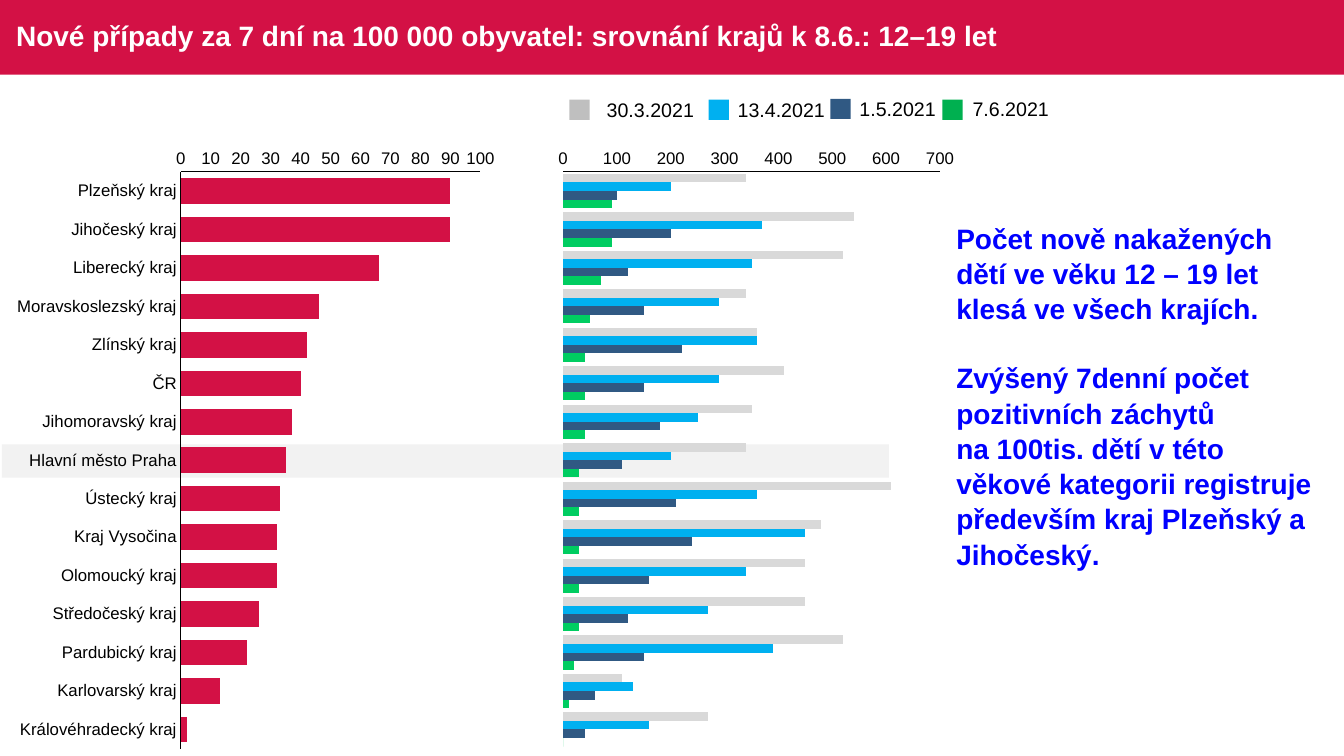
from pptx import Presentation
from pptx.chart.data import CategoryChartData
from pptx.dml.color import RGBColor
from pptx.enum.chart import XL_CHART_TYPE, XL_TICK_MARK
from pptx.enum.shapes import MSO_SHAPE
from pptx.enum.text import MSO_ANCHOR, MSO_AUTO_SIZE, PP_ALIGN
from pptx.oxml import parse_xml
from pptx.oxml.ns import nsdecls, qn
from pptx.util import Cm, Pt

BAR = XL_CHART_TYPE.BAR_CLUSTERED
NO_TICK = XL_TICK_MARK.NONE
RECT = MSO_SHAPE.RECTANGLE
MIDDLE = MSO_ANCHOR.MIDDLE
FIT_SHAPE, NO_FIT = MSO_AUTO_SIZE.SHAPE_TO_FIT_TEXT, MSO_AUTO_SIZE.NONE
LEFT = PP_ALIGN.LEFT

FONT = "Arial"
COLORS = {
    "red": "D31145", "band": "F2F2F2", "white": "FFFFFF", "black": "000000",
    "note": "0000FF", "gray": "D9D9D9", "key_gray": "BFBFBF", "sky": "00B0F0",
    "navy": "305983", "green": "00CD61", "key_green": "00B050",
}

TITLE = "Nové případy za 7 dní na 100 000 obyvatel: srovnání krajů k 8.6.: 12–19 let"
NOTES = [
    "Počet nově nakažených dětí ve věku 12 – 19 let klesá ve všech krajích.",
    "Zvýšený 7denní počet pozitivních záchytů\nna 100tis. dětí v této věkové "
    "kategorii registruje především kraj Plzeňský a Jihočeský.",
]
REGIONS = [
    "Plzeňský kraj", "Jihočeský kraj", "Liberecký kraj", "Moravskoslezský kraj",
    "Zlínský kraj", "ČR", "Jihomoravský kraj", "Hlavní město Praha",
    "Ústecký kraj", "Kraj Vysočina", "Olomoucký kraj", "Středočeský kraj",
    "Pardubický kraj", "Karlovarský kraj", "Královéhradecký kraj",
]
CURRENT = [
    ("8.6.2021", "red", [90, 90, 66, 46, 42, 40, 37, 35, 33, 32, 32, 26, 22, 13, 2]),
]
HISTORY = [
    ("30.3.2021", "gray",
     [340, 540, 520, 340, 360, 410, 350, 340, 610, 480, 450, 450, 520, 110, 270]),
    ("13.4.2021", "sky",
     [200, 370, 350, 290, 360, 290, 250, 200, 360, 450, 340, 270, 390, 130, 160]),
    ("1.5.2021", "navy",
     [100, 200, 120, 150, 220, 150, 180, 110, 210, 240, 160, 120, 150, 60, 40]),
    ("7.6.2021", "green",
     [90, 90, 70, 50, 40, 40, 40, 30, 30, 30, 30, 30, 20, 10, 0]),
]
LEGEND = [
    ("30.3.2021", "key_gray", 14.35, 2.51, 15.04, 2.34, 2.72),
    ("13.4.2021", "sky", 17.86, 2.51, 18.34, 2.34, 2.72),
    ("1.5.2021", "navy", 20.93, 2.49, 21.41, 2.31, 2.44),
    ("7.6.2021", "key_green", 23.75, 2.51, 24.26, 2.31, 2.44),
]


def rgb(name):
    """Return the palette colour with this name."""
    return RGBColor.from_string(COLORS[name])


class Deck:
    """Hold the presentation, its style and the current slide."""

    def __init__(self):
        """Open a widescreen presentation with one title slide."""
        self.prs = Presentation()
        self.prs.slide_width, self.prs.slide_height = Cm(33.87), Cm(19.05)
        self.s = self.prs.slides.add_slide(self.prs.slide_layouts[5])

    def style(self, font, size, color, bold=False):
        """Apply the slide typeface to a font."""
        font.name, font.size, font.bold = FONT, Pt(size), bold
        font.color.rgb = rgb(color)

    def rect(self, x, y, w, h, color):
        """Add a plain filled rectangle."""
        sp = self.s.shapes.add_shape(RECT, Cm(x), Cm(y), Cm(w), Cm(h))
        sp.shadow.inherit = False
        sp.fill.solid()
        sp.fill.fore_color.rgb = rgb(color)
        sp.line.fill.background()
        return sp

    def title(self, text, x, y, w, h):
        """Fill the title placeholder and bring it to the front."""
        sp = self.s.shapes.title
        sp.left, sp.top, sp.width, sp.height = Cm(x), Cm(y), Cm(w), Cm(h)
        self.s.shapes[-1].element.addnext(sp.element)
        tf = sp.text_frame
        tf.text = text
        tf.auto_size, tf.vertical_anchor = NO_FIT, MIDDLE
        p = tf.paragraphs[0]
        p.alignment, p.line_spacing = LEFT, 0.9
        self.style(p.runs[0].font, 20, "white", True)

    def text(self, paragraphs, x, y, w, h, size, color,
             bold=False, wrap=True, spacing=1.0, gap=0):
        """Add a text box with one or more paragraphs."""
        tf = self.s.shapes.add_textbox(Cm(x), Cm(y), Cm(w), Cm(h)).text_frame
        tf.word_wrap, tf.auto_size = wrap, FIT_SHAPE
        for i, text in enumerate(paragraphs):
            p = tf.add_paragraph() if i else tf.paragraphs[0]
            p.text, p.line_spacing = text, spacing
            if i:
                p.space_before = Pt(gap)
            for r in p.runs:
                self.style(r.font, size, color, bold)

    def axis(self, axis):
        """Give a chart axis a thin black line and plain labels."""
        axis.has_major_gridlines = False
        axis.major_tick_mark = axis.minor_tick_mark = NO_TICK
        axis.format.line.color.rgb = rgb("black")
        axis.format.line.width = Pt(0.75)
        self.style(axis.tick_labels.font, 12, "black")

    def bars(self, categories, series, box, plot_area, top, unit):
        """Add a horizontal bar chart that reads from the top down."""
        data = CategoryChartData()
        data.categories = categories
        for name, _, values in series:
            data.add_series(name, values)
        chart = self.s.shapes.add_chart(BAR, *map(Cm, box), data).chart
        chart.has_legend = chart.has_title = False
        self.style(chart.font, 10, "black")
        plot = chart.plots[0]
        plot.gap_width, plot.overlap, plot.vary_by_categories = 50, 0, False
        for ser, (_, color, _) in zip(plot.series, series):
            ser.format.fill.solid()
            ser.format.fill.fore_color.rgb = rgb(color)
        self.axis(chart.category_axis)
        self.axis(chart.value_axis)
        chart.category_axis.reverse_order = True
        chart.value_axis.minimum_scale, chart.value_axis.maximum_scale = 0, top
        chart.value_axis.major_unit = unit
        self.place_plot(chart, plot_area)
        return chart

    def place_plot(self, chart, plot_area):
        """Fix the inner plot area as fractions of the chart."""
        area = chart.element.find(".//" + qn("c:plotArea"))
        for old in area.findall(qn("c:layout")):
            area.remove(old)
        modes = "".join(f'<c:{k}Mode val="edge"/>' for k in "xy")
        sizes = "".join(f'<c:{k} val="{v}"/>' for k, v in zip("xywh", plot_area))
        area.insert(0, parse_xml(
            f'<c:layout {nsdecls("c")}><c:manualLayout>'
            f'<c:layoutTarget val="inner"/>{modes}{sizes}'
            '</c:manualLayout></c:layout>'))


def main():
    """Build the slide and save it."""
    deck = Deck()
    deck.rect(0, 0, 33.87, 1.88, "red")
    deck.title(TITLE, 0.15, 0, 30.51, 1.88)
    deck.rect(0.05, 11.2, 22.35, 0.84, "band")
    deck.bars(REGIONS, CURRENT, (0.2, 3.48, 12.55, 15.72),
              (0.347, 0.054, 0.602, 0.925), 100, 10)
    history = deck.bars([str(i + 1) for i in range(len(REGIONS))], HISTORY,
                        (13.87, 3.48, 10.39, 15.72),
                        (0.031, 0.054, 0.914, 0.925), 700, 100)
    history.category_axis.visible = False
    for label, color, key_x, key_y, x, y, w in LEGEND:
        deck.rect(key_x, key_y, 0.51, 0.51, color)
        deck.text([label], x, y, w, 0.86, 14, "black", wrap=False)
    deck.text(NOTES, 23.85, 5.41, 9.53, 8.81, 20, "note",
              bold=True, spacing=1.05, gap=24)
    deck.prs.save("out.pptx")


if __name__ == "__main__":
    main()
